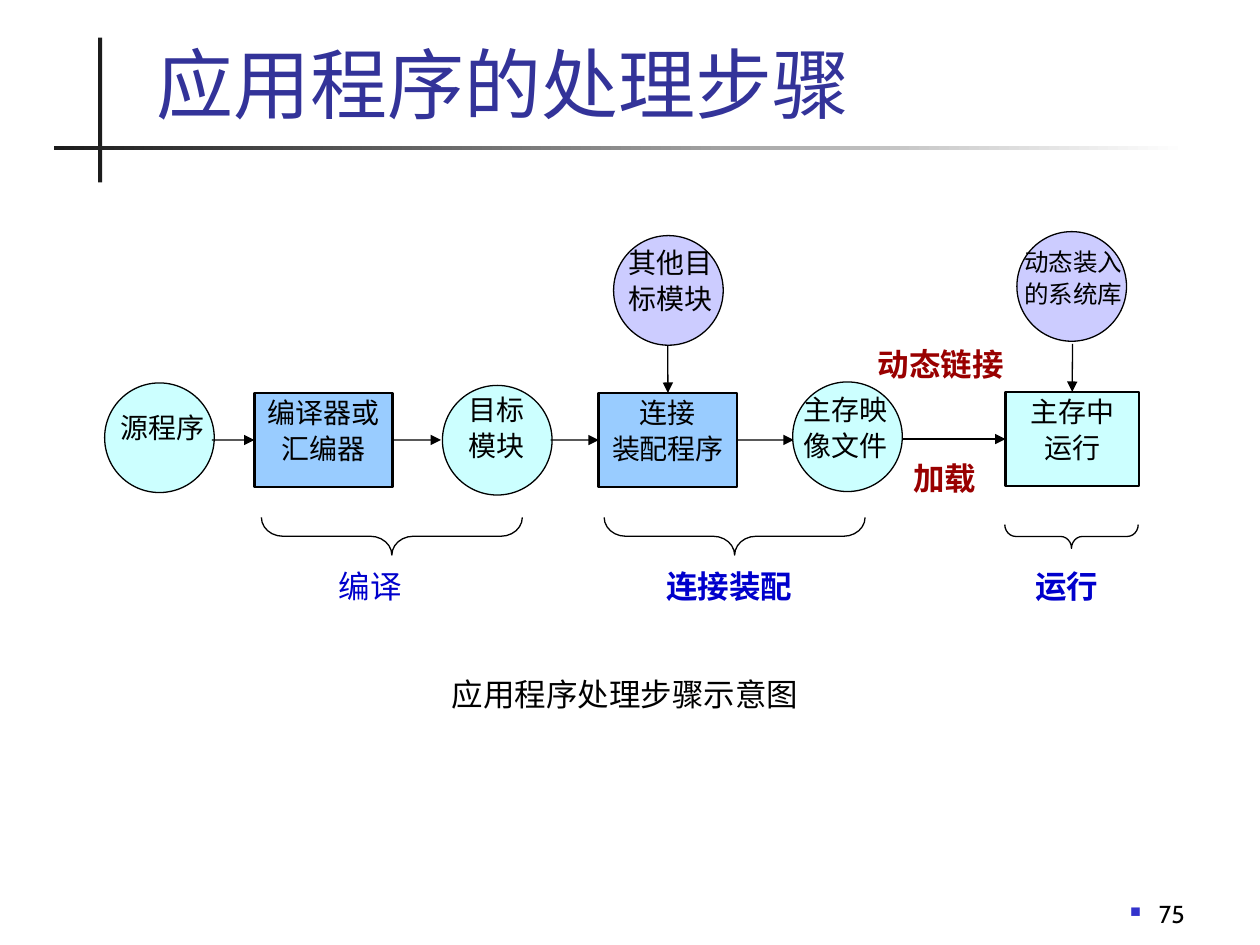
from pptx import Presentation
from pptx.dml.color import RGBColor
from pptx.enum.shapes import MSO_CONNECTOR, MSO_SHAPE
from pptx.enum.text import MSO_ANCHOR, PP_ALIGN
from pptx.oxml.ns import qn
from pptx.util import Cm, Pt
from lxml.etree import SubElement

COLORS = {
    "black": "000000", "ink": "1C1C1C", "white": "FFFFFF", "title": "333399",
    "data": "CCFFFF", "tool": "99CCFF", "library": "CCCCFF",
    "phase": "0000CC", "action": "990000", "bullet": "3333CC",
}
TOP, LEFT, BOTTOM, RIGHT = range(4)
NODE_TEXT = {"size": Pt(16)}
PHASE_TEXT = {"size": Pt(18), "color": "phase"}
ACTION_TEXT = {"size": Pt(18), "color": "action", "bold": True}


def rgb(name):
    return RGBColor.from_string(COLORS[name])


class StepsSlide:
    font_name = "Times New Roman"
    hanging = {"marL": Cm(2.54), "indent": Cm(-0.94)}

    def __init__(self, deck):
        self.page = deck.slides.add_slide(deck.slide_layouts[5])
        self.shapes = self.page.shapes

    def fill_text(self, frame, lines, align=PP_ALIGN.LEFT, indents=None,
                  spacing=0.9, anchor=MSO_ANCHOR.TOP, bullet=False, **style):
        """Fill a text frame with one paragraph per line."""
        frame.word_wrap = True
        frame.vertical_anchor = anchor
        style = {"name": self.font_name, "color": "black", **style}
        color = style.pop("color")
        frame.text = "\n".join(lines)
        for number, para in enumerate(frame.paragraphs):
            para.alignment = align
            para.line_spacing = spacing
            if number:
                para.space_before = Pt(style["size"].pt * 0.2)
            properties = para._p.get_or_add_pPr()
            for key, value in (indents or {}).items():
                properties.set(key, str(int(value)))
            if bullet:
                tint = SubElement(properties, qn("a:buClr"))
                SubElement(tint, qn("a:srgbClr"), val=COLORS["bullet"])
                SubElement(properties, qn("a:buSzPct"), val="60000")
                SubElement(properties, qn("a:buFont"), typeface="Wingdings")
                SubElement(properties, qn("a:buChar"), char="n")
            for span in para.runs:
                for key, value in style.items():
                    setattr(span.font, key, value)
                span.font.color.rgb = rgb(color)

    def title(self, text):
        title = self.shapes.title
        place = {"left": Cm(2.9), "top": Cm(0.64), "width": Cm(21.82), "height": Cm(2.08)}
        for key, value in place.items():
            setattr(title, key, value)
        self.fill_text(title.text_frame, [text], spacing=1.0, anchor=MSO_ANCHOR.BOTTOM,
                       name="Cambria", size=Pt(44), color="title")

    def shape(self, kind, left, top, width, height, fill=None, line=None):
        shape = self.shapes.add_shape(kind, Cm(left), Cm(top), Cm(width), Cm(height))
        shape.shadow.inherit = False
        if fill:
            shape.fill.solid()
            shape.fill.fore_color.rgb = rgb(fill)
        else:
            shape.fill.background()
        if line:
            shape.line.color.rgb = rgb("black")
            shape.line.width = Pt(line)
        else:
            shape.line.fill.background()
        return shape

    def fading_bar(self, left, top, width, height):
        bar = self.shape(MSO_SHAPE.RECTANGLE, left, top, width, height)
        bar.fill.gradient()
        bar.fill.gradient_angle = 0
        for stop, color in zip(bar.fill.gradient_stops, ("ink", "white")):
            stop.color.rgb = rgb(color)

    def circle(self, left, top, fill):
        self.shape(MSO_SHAPE.OVAL, left, top, 2.21, 2.21, fill, 0.75)

    def process(self, left, top, width, fill, lines):
        box = self.shape(MSO_SHAPE.RECTANGLE, left, top, width, 1.9, fill, 1.5)
        self.fill_text(box.text_frame, lines, align=PP_ALIGN.CENTER, **NODE_TEXT)
        return box

    def label(self, left, top, width, height, lines, **style):
        box = self.shapes.add_textbox(Cm(left), Cm(top), Cm(width), Cm(height))
        self.fill_text(box.text_frame, lines, **style)

    def brace(self, kind, left, top, width, height, rotation, curve):
        brace = self.shape(kind, left, top, width, height, line=0.75)
        brace.rotation = rotation
        brace.adjustments[0] = curve

    def arrow(self, x, y, box, side, outgoing=False):
        """Join the point to a side of the box; outgoing arrows leave the box."""
        line = self.shapes.add_connector(MSO_CONNECTOR.STRAIGHT, Cm(x), Cm(y), Cm(x), Cm(y))
        connect = line.begin_connect if outgoing else line.end_connect
        connect(box, side)
        line.line.color.rgb = rgb("black")
        line.line.width = Pt(0.75)
        SubElement(line.line._get_or_add_ln(), qn("a:tailEnd"), type="triangle")
        SubElement(line._element.spPr, qn("a:effectLst"))


def main():
    deck = Presentation()
    deck.slide_width, deck.slide_height = Cm(25.4), Cm(19.05)
    slide = StepsSlide(deck)

    slide.shape(MSO_SHAPE.RECTANGLE, 1.98, 0.76, 0.08, 2.92, "ink")
    slide.fading_bar(1.09, 2.95, 22.86, 0.08)
    slide.title("应用程序的处理步骤")

    for left, top, fill in (
        (2.11, 7.72, "data"), (8.92, 7.77, "data"), (15.98, 7.7, "data"),
        (12.37, 4.75, "library"), (20.5, 4.67, "library"),
    ):
        slide.circle(left, top, fill)

    compiler = slide.process(5.13, 7.92, 2.79, "tool", ["编译器或", "汇编器"])
    linker = slide.process(12.07, 7.92, 2.79, "tool", ["连接", "装配程序"])
    running = slide.process(20.27, 7.9, 2.69, "data", ["主存中", "运行"])

    for x, y, box, side, outgoing in (
        (4.27, 8.87, compiler, LEFT, False),
        (8.89, 8.87, compiler, RIGHT, True),
        (11.1, 8.87, linker, LEFT, False),
        (16, 8.87, linker, RIGHT, True),
        (13.46, 6.96, linker, TOP, False),
        (18.19, 8.85, running, LEFT, False),
        (21.62, 6.93, running, TOP, False),
    ):
        slide.arrow(x, y, box, side, outgoing)

    slide.label(2.18, 8.23, 2.31, 1.35, ["源程序"], **NODE_TEXT)
    for left, top, width, height, lines, style in (
        (7.59, 7.87, 3.3, 1.9, ["目标", "模块"], NODE_TEXT),
        (14.35, 7.87, 3.89, 1.9, ["主存映", "像文件"], NODE_TEXT),
        (10.82, 4.9, 5.16, 2.06, ["其他目", "标模块"], NODE_TEXT),
        (18.8, 4.93, 4.39, 1.9, ["动态装入", "的系统库"], {"size": Pt(14)}),
        (15.85, 6.91, 5.41, 1.24, ["动态链接"], ACTION_TEXT),
        (16.56, 9.22, 3.66, 1.24, ["加载"], ACTION_TEXT),
        (4.98, 11.4, 5.33, 1.24, ["编译"], PHASE_TEXT),
        (11.58, 11.4, 5.84, 1.24, ["连接装配"], {**PHASE_TEXT, "bold": True}),
        (19.02, 11.4, 4.04, 1.24, ["运行"], {**PHASE_TEXT, "bold": True}),
    ):
        slide.label(left, top, width, height, lines, indents=slide.hanging, **style)

    for left in (7.52, 14.43):
        slide.brace(MSO_SHAPE.LEFT_BRACE, left, 8.18, 0.76, 5.26, 270, 0.57)
    slide.brace(MSO_SHAPE.RIGHT_BRACE, 21.36, 9.47, 0.48, 2.69, 90, 0.46)

    slide.label(8.86, 13.26, 8.03, 1.24, ["应用程序处理步骤示意图"], spacing=1.3, size=Pt(18))
    slide.label(18.85, 17.58, 5.28, 1.27, ["75"], align=PP_ALIGN.RIGHT, spacing=1.0,
                anchor=MSO_ANCHOR.BOTTOM, bullet=True, name="Cabin", size=Pt(14),
                indents={"marL": Cm(0.58), "indent": Cm(-0.58)})
    deck.save("out.pptx")


if __name__ == "__main__":
    main()
